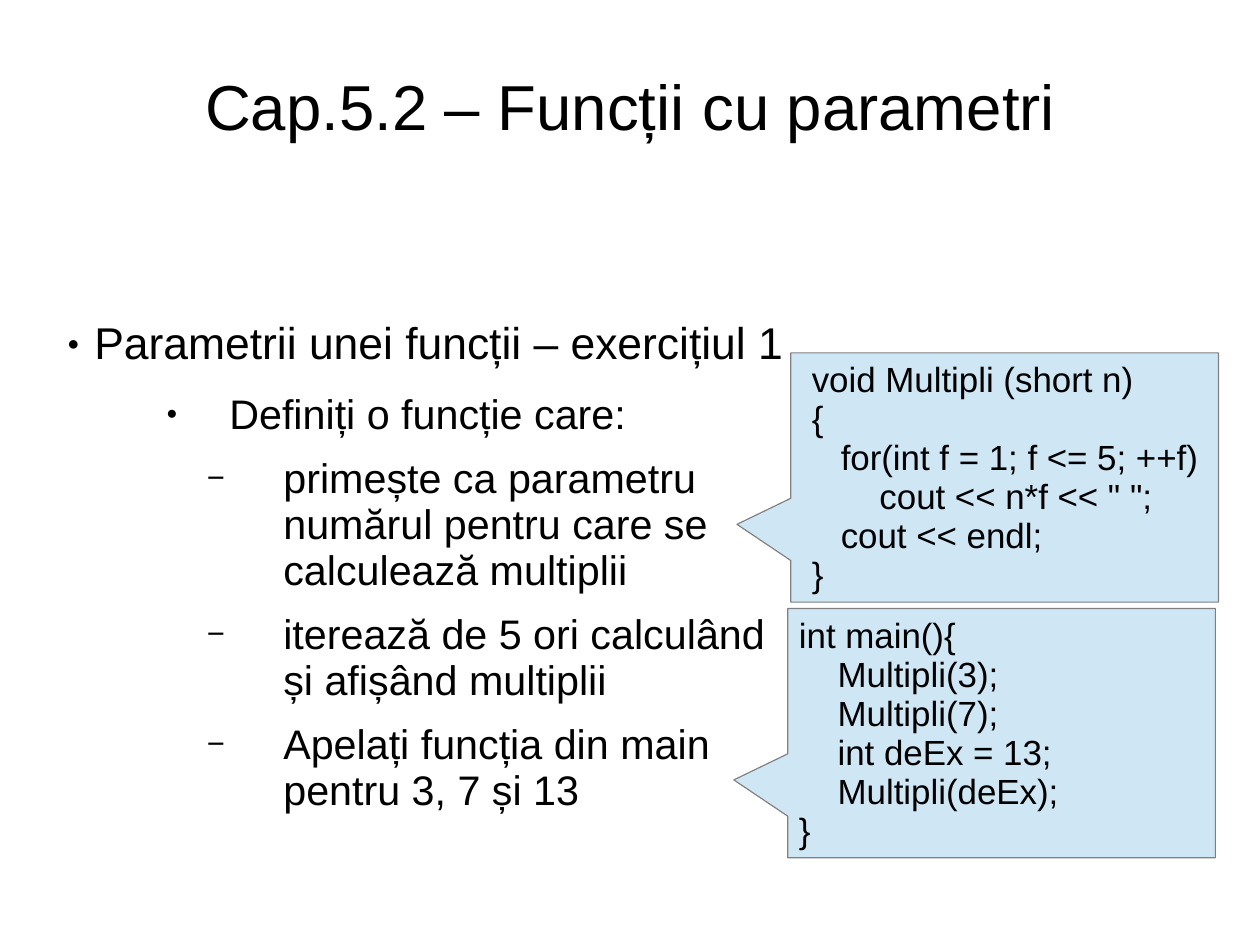
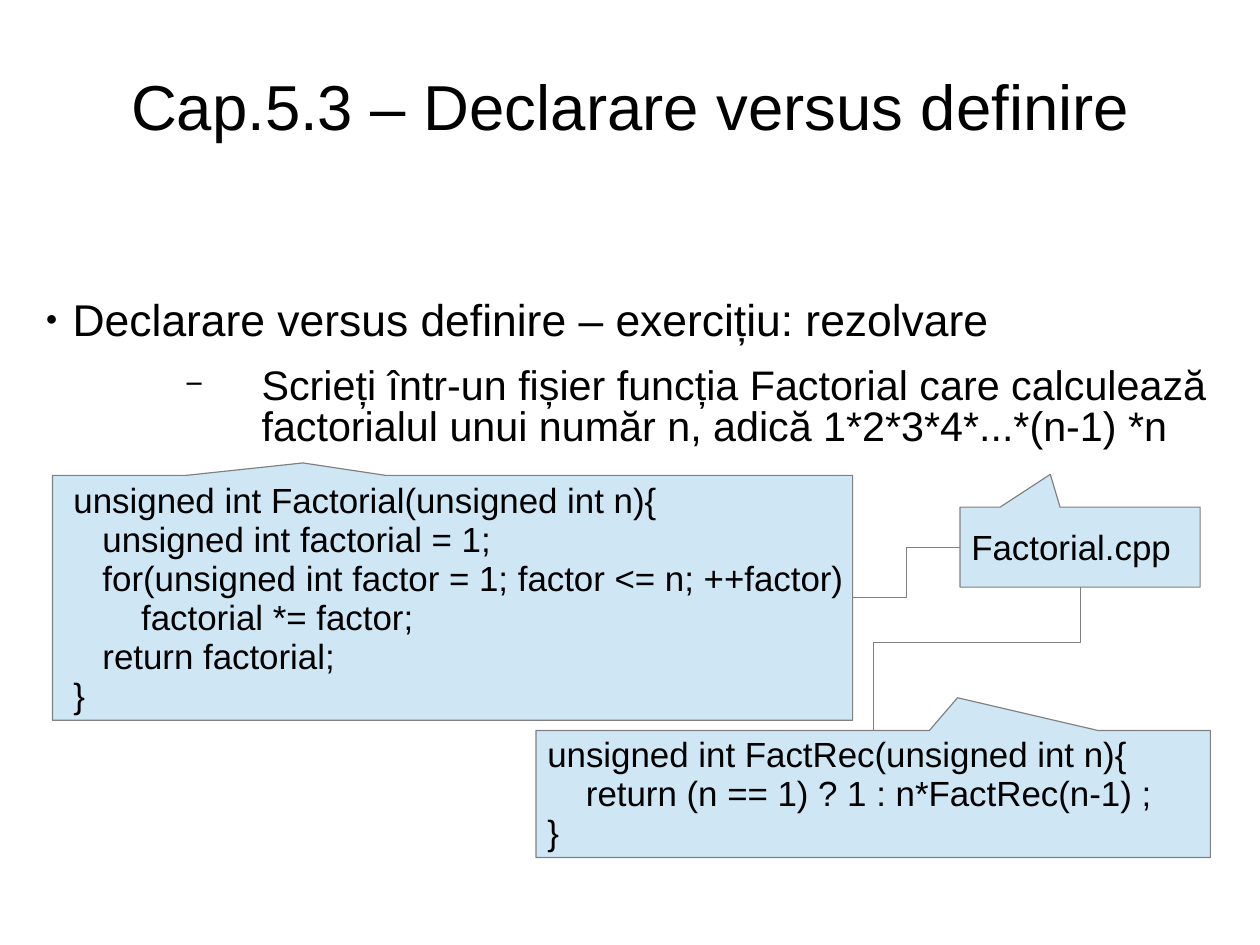
from lxml.etree import SubElement
from pptx import Presentation
from pptx.dml.color import RGBColor
from pptx.enum.shapes import MSO_CONNECTOR as Connector, MSO_SHAPE as Shape
from pptx.enum.text import MSO_ANCHOR as Anchor, PP_ALIGN as Align
from pptx.oxml.ns import qn
from pptx.util import Pt

BLACK = RGBColor(0x00, 0x00, 0x00)
GREY = RGBColor(0x80, 0x80, 0x80)
PALE_BLUE = RGBColor(0xCF, 0xE7, 0xF5)

# Outline levels: size, left indent, hanging, space after, bullet, bullet percent
TOPIC = (28, 17, 17, 14.1, "●", 45)
TASK = (26, 102, 39.6, 11.4, "●", 45)
STEP = (26, 136, 48.2, 11.4, "−", 75)


def write(para, text, size=22, align=Align.LEFT, spacing=0.93):
    """Fill a paragraph with one formatted span."""
    para.alignment = align
    para.line_spacing = spacing
    span = para.add_run()
    span.text = text
    span.font.name = "Arial"
    span.font.size = Pt(size)
    span.font.color.rgb = BLACK


class Lesson:
    def __init__(self):
        self.deck = Presentation()
        self.deck.slide_width, self.deck.slide_height = Pt(793.7), Pt(595.3)
        self.page = None

    def new_page(self, title):
        self.page = self.deck.slides.add_slide(self.deck.slide_layouts[6])
        box = self.text_box(28.2, 29.6, 737.4, 75.5, top_inset=2.9)
        box.vertical_anchor = Anchor.MIDDLE
        write(box.paragraphs[0], title, size=40, align=Align.CENTER)

    def frame(self, shape, insets, wrap):
        frame = shape.text_frame
        (frame.margin_left, frame.margin_top,
         frame.margin_right, frame.margin_bottom) = [Pt(i) for i in insets]
        frame.word_wrap = wrap
        return frame

    def paragraphs(self, frame, count):
        for _ in range(count - 1):
            frame.add_paragraph()
        return frame.paragraphs

    def text_box(self, left, top, width, height, top_inset):
        box = self.page.shapes.add_textbox(
            Pt(left), Pt(top), Pt(width), Pt(height))
        return self.frame(box, (0, top_inset, 0, 0), True)

    def outline(self, left, top, width, height, items, spacing=0.93):
        frame = self.text_box(left, top, width, height, top_inset=2.2)
        for para, (style, text) in zip(self.paragraphs(frame, len(items)), items):
            size, indent, hanging, after, bullet, percent = style
            para.level = 0 if style is TOPIC else 1
            write(para, text, size=size, spacing=spacing)
            para.space_after = Pt(after)
            # Bullet with hanging indent
            props = para._p.get_or_add_pPr()
            props.set("marL", str(Pt(indent)))
            props.set("indent", str(-Pt(hanging)))
            colour = SubElement(props, qn("a:buClr"))
            SubElement(colour, qn("a:srgbClr"), val=str(BLACK))
            SubElement(props, qn("a:buSzPct"), val=str(percent * 1000))
            SubElement(props, qn("a:buFont"), typeface="Arial")
            SubElement(props, qn("a:buChar"), char=bullet)

    def callout(self, left, top, width, height, tip, code):
        shape = self.page.shapes.add_shape(
            Shape.RECTANGULAR_CALLOUT, Pt(left), Pt(top), Pt(width), Pt(height))
        shape.adjustments[0], shape.adjustments[1] = tip
        shape.shadow.inherit = False
        shape.fill.solid()
        shape.fill.fore_color.rgb = PALE_BLUE
        self.outline_colour(shape)
        frame = self.frame(shape, (7.1, 5, 7.1, 3.5), False)
        frame.vertical_anchor = Anchor.MIDDLE
        lines = code.split("\n")
        for para, line in zip(self.paragraphs(frame, len(lines)), lines):
            write(para, line)
        return shape

    def outline_colour(self, shape):
        shape.line.color.rgb = GREY
        shape.line.width = Pt(0.75)

    def elbow(self, start, end, fold=0.5, vertical=False):
        """Bent line; a vertical one leaves its start downwards."""
        (x1, y1), (x2, y2) = start, end
        if vertical:
            # Lay it out sideways round its centre, then turn it by 90 degrees
            mid_x, mid_y = (x1 + x2) // 2, (y1 + y2) // 2
            half_w, half_h = (y2 - y1) // 2, (x1 - x2) // 2
            x1, y1 = mid_x - half_w, mid_y - half_h
            x2, y2 = mid_x + half_w, mid_y + half_h
        line = self.page.shapes.add_connector(Connector.ELBOW, x1, y1, x2, y2)
        self.outline_colour(line)
        props = line.element.spPr
        if vertical:
            props.find(qn("a:xfrm")).set("rot", str(90 * 60000))
        guides = props.find(qn("a:prstGeom")).find(qn("a:avLst"))
        SubElement(guides, qn("a:gd"), name="adj1",
                   fmla=f"val {round(fold * 100000)}")
        SubElement(props, qn("a:effectLst"))


def main():
    lesson = Lesson()

    # Functions with parameters
    lesson.new_page("Cap.5.2 – Funcții cu parametri")
    lesson.outline(42.5, 199.5, 454.4, 326, [
        (TOPIC, "Parametrii unei funcții – exercițiul 1"),
        (TASK, "Definiți o funcție care:"),
        (STEP, "primește ca parametru numărul pentru care se calculează multiplii"),
        (STEP, "iterează de 5 ori calculând și afișând multiplii"),
        (STEP, "Apelați funcția din main pentru 3, 7 și 13"),
    ])
    left_tip = (-0.626, 0.188)
    lesson.callout(498.2, 222.3, 269.4, 157, left_tip, """\
 void Multipli (short n)
 {
    for(int f = 1; f <= 5; ++f)
        cout << n*f << " ";
    cout << endl;
 }""")
    lesson.callout(496.2, 383.3, 269.4, 157, left_tip, """\
int main(){
    Multipli(3);
    Multipli(7);
    int deEx = 13;
    Multipli(deEx);
}""")

    # Declaring versus defining
    lesson.new_page("Cap.5.3 – Declarare versus definire")
    lesson.outline(28.8, 187.2, 741.6, 103.7, [
        (TOPIC, "Declarare versus definire – exercițiu: rezolvare"),
        (STEP, "Scrieți într-un fișier funcția Factorial care calculează "
               "factorialul unui număr n, adică 1*2*3*4*...*(n-1) *n"),
    ], spacing=0.83)
    loop = lesson.callout(33.1, 299.5, 504, 154.2, (-0.187, -0.551), """\
 unsigned int Factorial(unsigned int n){
    unsigned int factorial = 1;
    for(unsigned int factor = 1; factor <= n; ++factor)
        factorial *= factor;
    return factorial;
 }""")
    recursion = lesson.callout(337.7, 460.2, 424.8, 80, (0.125, -0.758), """\
unsigned int FactRec(unsigned int n){
    return (n == 1) ? 1 : n*FactRec(n-1) ;
}""")
    source = lesson.callout(604.8, 319.5, 151.2, 50.4, (-0.124, -0.91),
                            "Factorial.cpp")

    # Links from the file to both functions
    lesson.elbow((source.left, source.top + source.height // 2),
                 (loop.left + loop.width, loop.top + loop.height // 2))
    lesson.elbow((source.left + source.width // 2, source.top + source.height),
                 (recursion.left + recursion.width // 2, recursion.top),
                 fold=0.386, vertical=True)

    lesson.deck.save("out.pptx")


if __name__ == "__main__":
    main()
